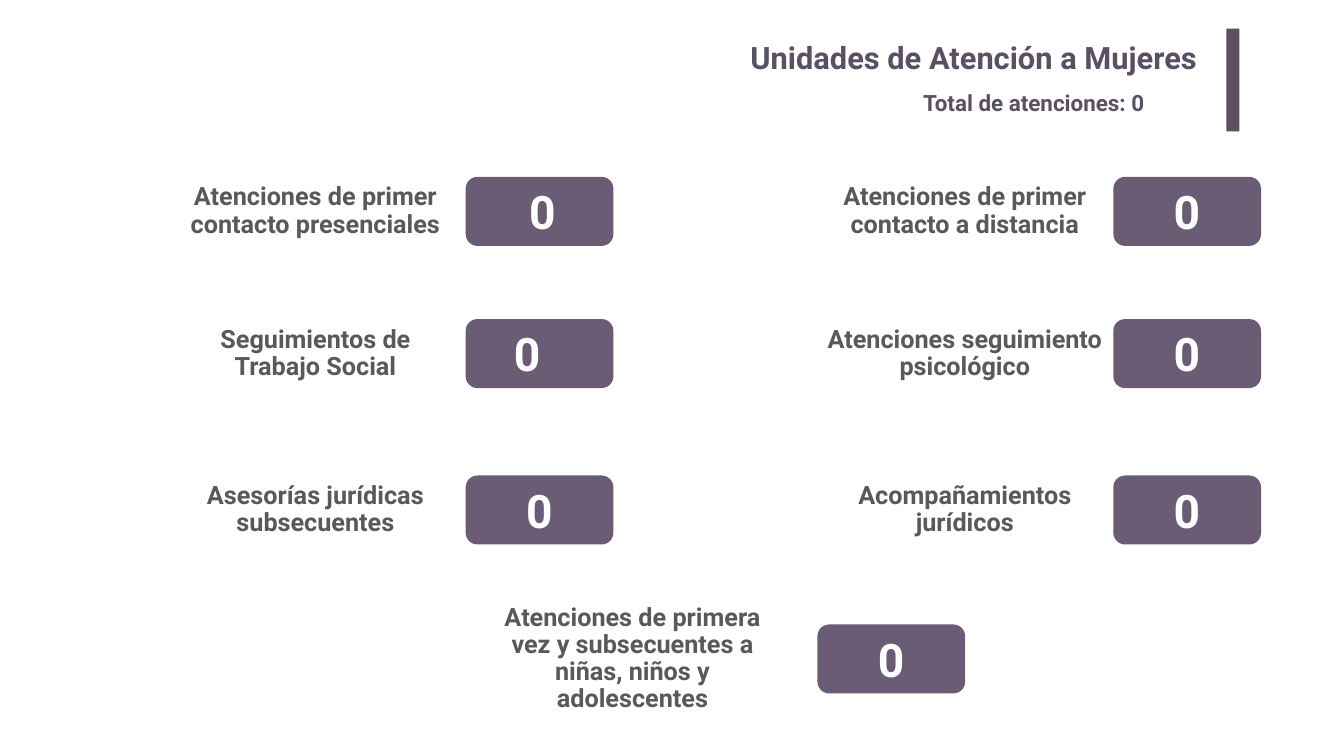
from pptx import Presentation
from pptx import util as u
from pptx.dml.color import RGBColor
from pptx.enum import shapes, text

INK = RGBColor(0x5B, 0x4F, 0x63)
PLUM = RGBColor(0x6A, 0x5C, 0x74)
GREY = RGBColor(0x59, 0x59, 0x59)
WHITE = RGBColor(0xFF, 0xFF, 0xFF)
LEFT, MID, RIGHT = (450.6, 665.3), (903.6, 1167.8), (1378.3, 1590.5)
CARD_W, CARD_H = 211, 98.6
NUM_W, NUM_H = 146.9, 87.1


class Deck:
    font = "Roboto"

    def __init__(self, wide, high):
        self.file = Presentation()
        self.file.slide_width, self.file.slide_height = u.Pt(wide), u.Pt(high)
        self.slide = self.file.slides.add_slide(self.file.slide_layouts[6])

    def block(self, kind, box, fill):
        item = self.slide.shapes.add_shape(kind, *map(u.Pt, box))
        item.shadow.inherit = False
        item.fill.solid()
        item.fill.fore_color.rgb = fill
        item.line.fill.background()
        return item

    def words(self, copy, box, size, tone, align, inset=(7.2, 3.6),
              anchor=text.MSO_ANCHOR.TOP, space=None, grow=False):
        frame = self.slide.shapes.add_textbox(*map(u.Pt, box)).text_frame
        frame.word_wrap = True
        frame.vertical_anchor = anchor
        frame.auto_size = (text.MSO_AUTO_SIZE.SHAPE_TO_FIT_TEXT if grow
                           else text.MSO_AUTO_SIZE.NONE)
        frame.margin_left = frame.margin_right = u.Pt(inset[0])
        frame.margin_top = frame.margin_bottom = u.Pt(inset[1])
        para = frame.paragraphs[0]
        para.alignment = align
        if space:
            para.line_spacing = space
        run = para.add_run()
        run.text = copy
        run.font.name, run.font.size = self.font, u.Pt(size)
        run.font.bold = True
        run.font.color.rgb = tone

    def label(self, copy, x, y, wide, high):
        self.words(copy, (x - wide / 2, y - high / 2, wide, high), 36, GREY,
                   text.PP_ALIGN.CENTER, anchor=text.MSO_ANCHOR.MIDDLE,
                   space=0.9)

    def card(self, count, x, y, shift):
        item = self.block(shapes.MSO_SHAPE.ROUNDED_RECTANGLE,
                          (x, y - CARD_H / 2, CARD_W, CARD_H), PLUM)
        item.adjustments[0] = 0.17
        self.words(count, (x + 31.7 + shift, y - NUM_H / 2, NUM_W, NUM_H), 66,
                   WHITE, text.PP_ALIGN.CENTER, grow=True)


def main():
    deck = Deck(1920, 1080)
    deck.words("Unidades de Atención a Mujeres", (263.5, 48.2, 1461.6, 73.4),
               44, INK, text.PP_ALIGN.RIGHT, inset=(14.4, 7.2))
    deck.block(shapes.MSO_SHAPE.RECTANGLE, (1751.8, 41, 18.7, 146.9), INK)
    deck.words("Total de atenciones: 0", (1311.8, 123.1, 426.2, 46.1),
               32, INK, text.PP_ALIGN.LEFT, grow=True)

    items = [
        ("Atenciones de primer contacto presenciales",
         LEFT, 302, 394.6, 98.6, 4.3),
        ("Atenciones de primer contacto a distancia",
         RIGHT, 302, 371.5, 87.1, 0),
        ("Seguimientos de Trabajo Social", LEFT, 505.1, 401.8, 101.5, -17.5),
        ("Atenciones seguimiento psicológico",
         RIGHT, 505.1, 562.3, 38.2, 0),
        ("Asesorías jurídicas subsecuentes", LEFT, 728.6, 435.6, 57.6, 0),
        ("Acompañamientos jurídicos", RIGHT, 728.6, 465.1, 46.1, 0),
        ("Atenciones de primera vez y subsecuentes a niñas, niños y "
         "adolescentes", MID, 941.4, 432, 35.3, 0),
    ]
    for copy, (mid, edge), y, wide, high, shift in items:
        deck.label(copy, mid, y, wide, high)
        deck.card("0", edge, y, shift)

    deck.file.save("out.pptx")


if __name__ == "__main__":
    main()
